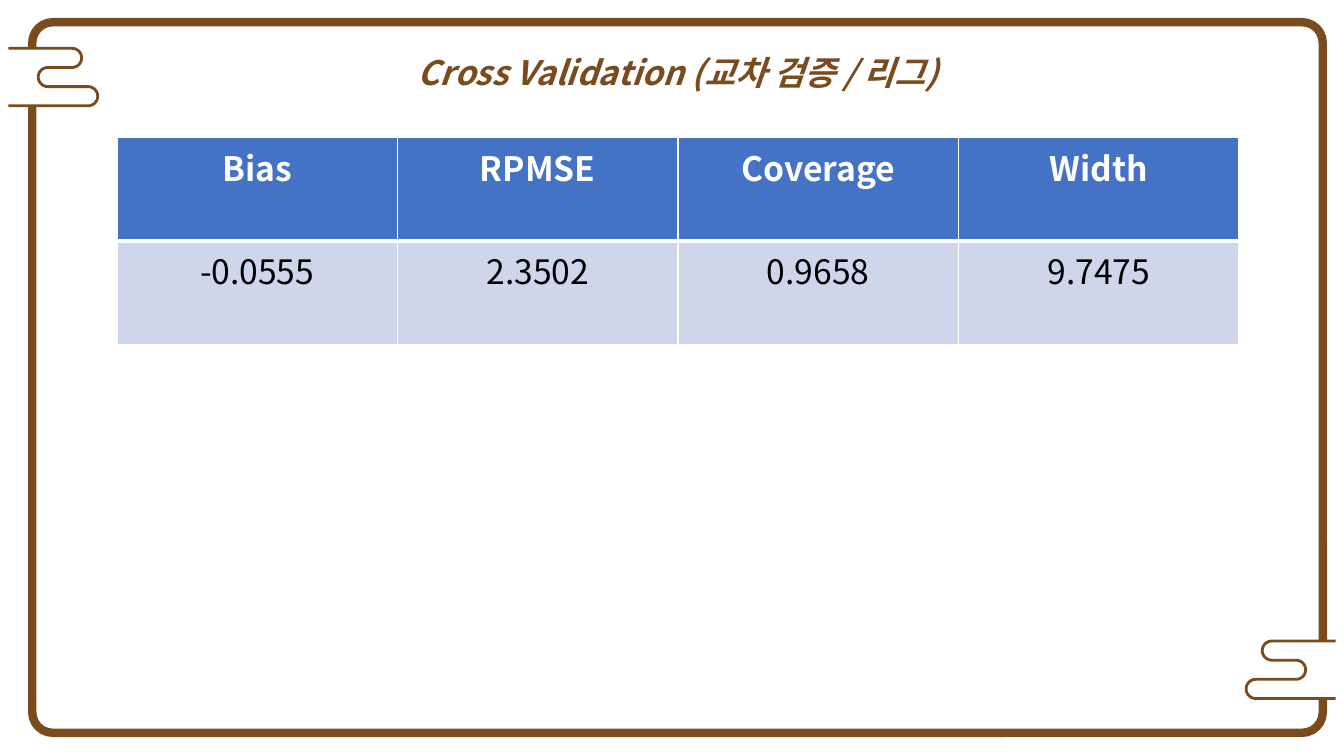
import math
import pptx
import pptx.dml.color
import pptx.enum.shapes
import pptx.enum.text
import pptx.oxml.ns
import pptx.util
from lxml import etree

W, H = 13.33, 7.5
FACE = "Noto Sans CJK KR"
HUES = {"brown": "794B1D", "white": "FFFFFF", "blue": "4472C4",
        "pale": "CFD5EA", "black": "000000"}
inch = pptx.util.Inches
qn = pptx.oxml.ns.qn
kinds = pptx.enum.shapes.MSO_SHAPE


def paint(shape, fill, line, width=0):
    shape.shadow.inherit = False
    for part, hue in ((shape.fill, fill), (shape.line.fill, line)):
        if hue:
            part.solid()
            part.fore_color.rgb = pptx.dml.color.RGBColor.from_string(HUES[hue])
        else:
            part.background()
    if line:
        shape.line.width = pptx.util.Pt(width)


def write(frame, text, hue, bold, slant=False):
    para = frame.paragraphs[0]
    para.alignment = pptx.enum.text.PP_ALIGN.CENTER
    run = para.add_run()
    run.text = text
    font = run.font
    font.name, font.size = FACE, pptx.util.Pt(24)
    font.bold, font.italic = bold, slant
    font.color.rgb = pptx.dml.color.RGBColor.from_string(HUES[hue])
    etree.SubElement(run._r.rPr, qn("a:ea"), typeface=FACE)
    return para


deck = pptx.Presentation()
deck.slide_width, deck.slide_height = inch(W), inch(H)
slide = deck.slides.add_slide(deck.slide_layouts[6])
shapes = slide.shapes

# Rounded border
border = shapes.add_shape(kinds.ROUNDED_RECTANGLE, inch(0.32), inch(0.22),
                          inch(12.8), inch(7.05))
border.adjustments[0] = 0.029
paint(border, None, "brown", 6)

# Cloud tabs: three half-circle turns, mirrored for the right edge
top, step = 0.48, 0.19
rad = step / 2
curve = [(0.01, top)]
for row, (mid, side) in enumerate([(0.715, 1), (0.475, -1), (0.875, 1)]):
    for deg in range(-90, 91, 10):
        turn = math.radians(deg)
        curve.append((mid + side * rad * math.cos(turn),
                      top + (row + 0.5) * step + rad * math.sin(turn)))
curve.append((0.01, top + 3 * step))
for flip, drop in ((False, 0), (True, 5.88)):
    dots = [(inch(W - x if flip else x), inch(y + drop)) for x, y in curve]
    pen = shapes.build_freeform(*dots[0])
    pen.add_line_segments(dots[1:], close=True)
    paint(pen.convert_to_shape(), "white", "brown", 2)

# White rim around the slide
rim = shapes.add_shape(kinds.FRAME, 0, 0, inch(W), inch(H))
rim.adjustments[0] = 0.011
paint(rim, "white", None)

# Title
title = shapes.add_textbox(inch(2.95), inch(0.27), inch(7.55), inch(0.71))
title.text_frame.word_wrap = True
title.text_frame.auto_size = pptx.enum.text.MSO_AUTO_SIZE.SHAPE_TO_FIT_TEXT
para = write(title.text_frame, "Cross Validation (교차 검증 / 리그)", "brown", True, True)
para.line_spacing = 1.5

# Score table
data = [("Bias", "RPMSE", "Coverage", "Width"),
        ("-0.0555", "2.3502", "0.9658", "9.7475")]
looks = [("blue", "white", True), ("pale", "black", False)]
edges = [{"L": 1, "R": 1, "T": 1, "B": 3}, {"L": 1, "R": 1, "T": 3, "B": 1}]
grid = shapes.add_table(2, 4, inch(1.16), inch(1.36), inch(11.13), inch(2.06)).table
grid.horz_banding = False
for row, (words, look, edge) in enumerate(zip(data, looks, edges)):
    fill, hue, bold = look
    for col, word in enumerate(words):
        cell = grid.cell(row, col)
        write(cell.text_frame, word, hue, bold)
        props = cell._tc.get_or_add_tcPr()
        for side, width in edge.items():
            line = etree.SubElement(props, qn("a:ln" + side),
                                    w=str(pptx.util.Pt(width)))
            solid = etree.SubElement(line, qn("a:solidFill"))
            etree.SubElement(solid, qn("a:srgbClr"), val=HUES["white"])
        cell.fill.solid()
        cell.fill.fore_color.rgb = pptx.dml.color.RGBColor.from_string(HUES[fill])

deck.save("out.pptx")
